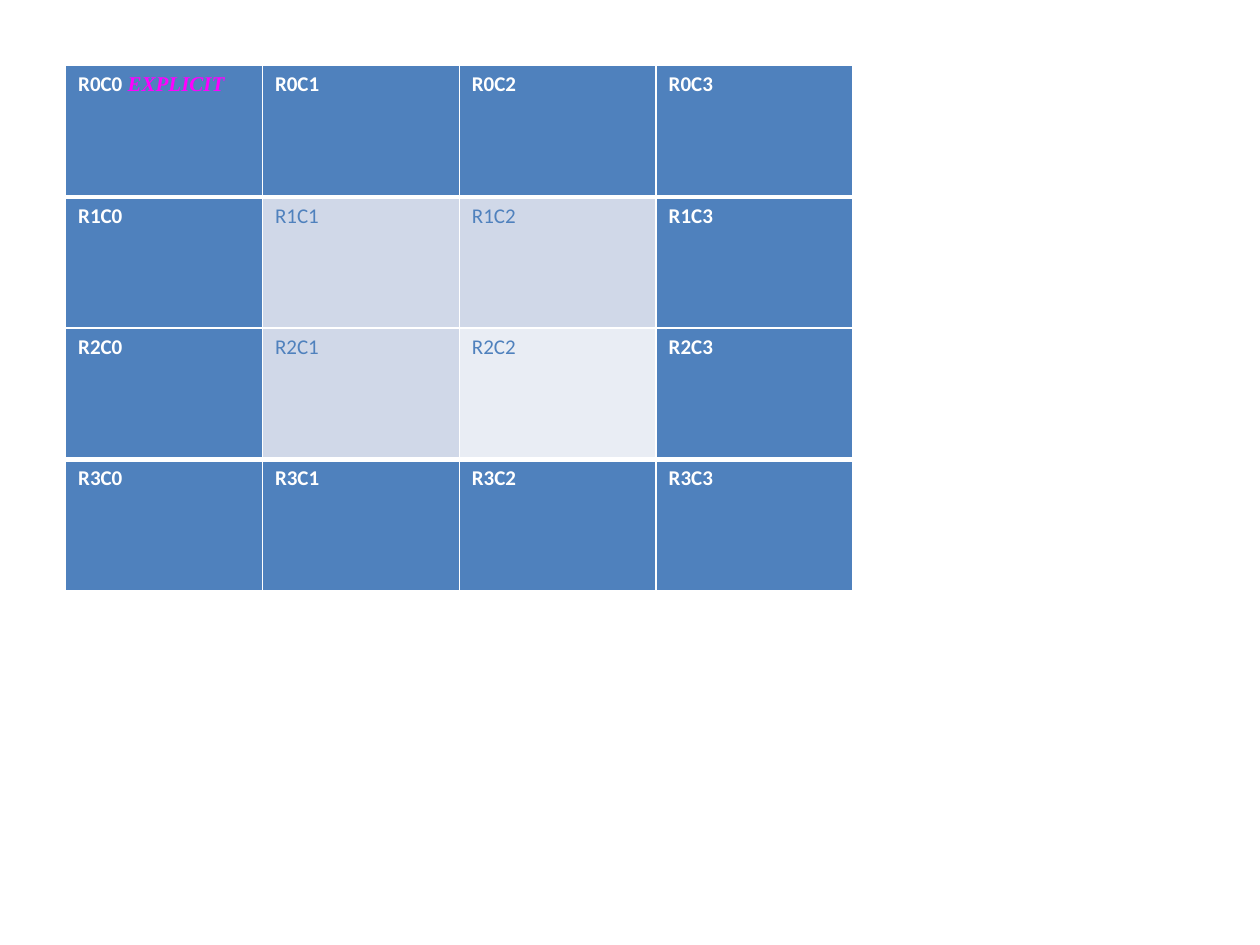
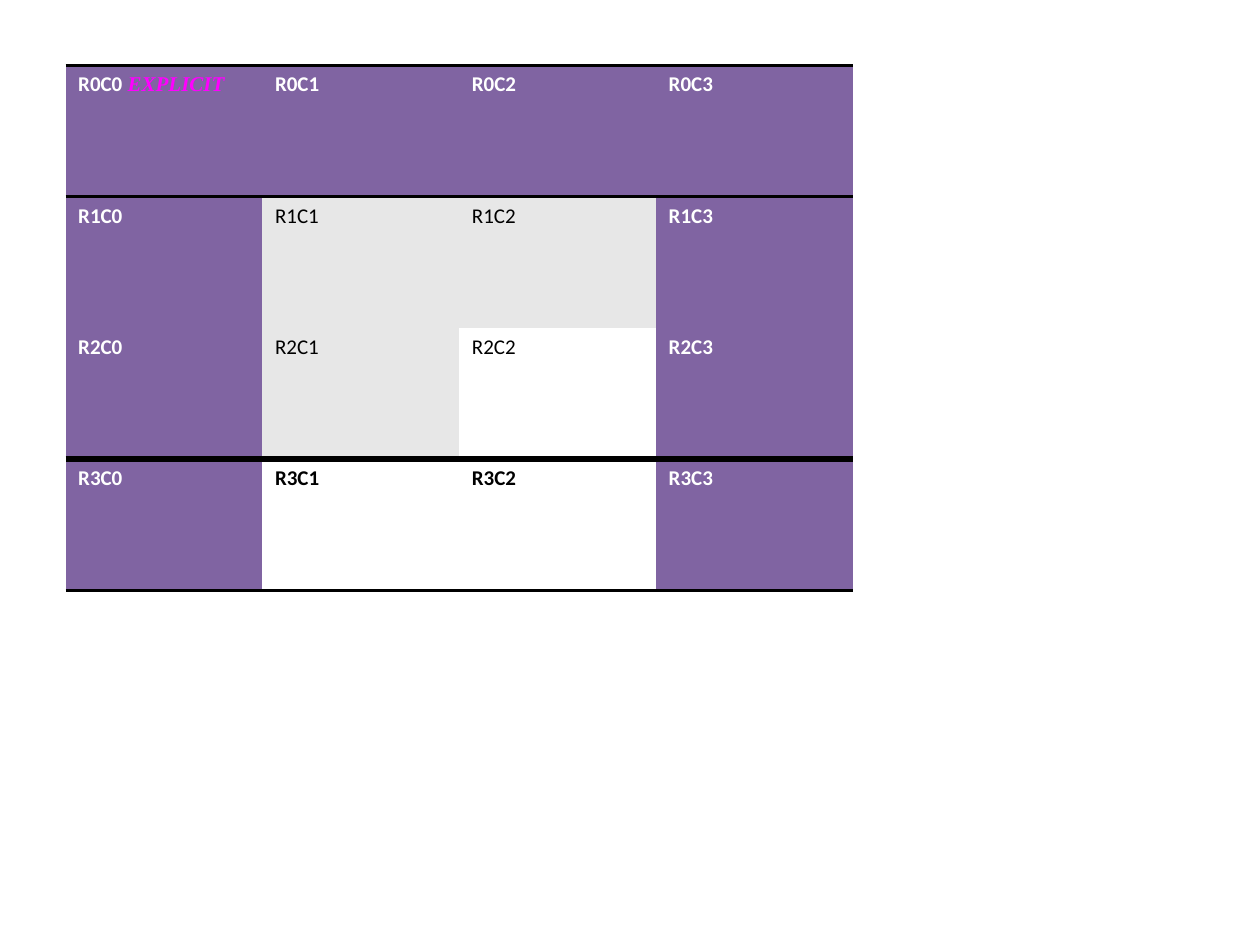
from dataclasses import dataclass

import pptx
import pptx.dml.color
import pptx.oxml
import pptx.oxml.ns
import pptx.util

Pt = pptx.util.Pt
COLORS = {
    "white": "FFFFFF",
    "black": "000000",
    "blue": "4F81BD",
    "blue_band": "D0D8E8",
    "blue_pale": "E9EDF4",
    "purple": "8064A2",
    "grey_band": "E7E7E7",
    "magenta": "FF00FF",
}
SIZE = 4
LAST = SIZE - 1
LEFT = TOP = 37.5
COL_WIDTH = 112.5
ROW_HEIGHT = 75
PLAIN_STYLE = "{2D5ABB26-0587-4C30-8999-92F81FD0307C}"


@dataclass(frozen=True)
class TableTheme:
    accent: str
    band: str
    pale: str
    body_text: str
    total_fill: str
    total_text: str
    line: str
    row_lines: tuple[int, ...]
    col_line: int


THEMES = (
    TableTheme("blue", "blue_band", "blue_pale", "blue", "blue", "white",
               "white", (1, 3, 1, 3, 1), 1),
    TableTheme("purple", "grey_band", "white", "black", "white", "black",
               "black", (2, 2, 0, 4, 2), 0),
)


def rgb(name: str) -> pptx.dml.color.RGBColor:
    return pptx.dml.color.RGBColor.from_string(COLORS[name])


def cell_style(theme: TableTheme, row: int, col: int) -> tuple[str, str, bool]:
    if row == 0 or col in (0, LAST):
        return theme.accent, "white", True
    if row == LAST:
        return theme.total_fill, theme.total_text, True
    banded = row == 1 or col == 1
    return theme.band if banded else theme.pale, theme.body_text, False


def set_borders(cell, theme: TableTheme, row: int) -> None:
    widths = {"L": theme.col_line, "R": theme.col_line,
              "T": theme.row_lines[row], "B": theme.row_lines[row + 1]}
    props = cell._tc.get_or_add_tcPr()
    for i, (side, width) in enumerate(widths.items()):
        paint = (f'<a:solidFill><a:srgbClr val="{COLORS[theme.line]}"/></a:solidFill>'
                 if width else "<a:noFill/>")
        props.insert(i, pptx.oxml.parse_xml(
            f'<a:ln{side} {pptx.oxml.ns.nsdecls("a")} w="{Pt(width)}">{paint}</a:ln{side}>'))


def fill_cell(cell, theme: TableTheme, row: int, col: int) -> None:
    fill, color, bold = cell_style(theme, row, col)
    cell.fill.solid()
    cell.fill.fore_color.rgb = rgb(fill)
    set_borders(cell, theme, row)
    p = cell.text_frame.paragraphs[0]
    p.font.name = "Calibri"
    p.font.size = Pt(12)
    p.font.bold = bold
    p.font.color.rgb = rgb(color)
    p.add_run().text = f"R{row}C{col}"
    if row == col == 0:
        r = p.add_run()
        r.text = " EXPLICIT"
        r.font.name = "Times New Roman"
        r.font.italic = True
        r.font.color.rgb = rgb("magenta")


def add_table_slide(prs, theme: TableTheme) -> None:
    s = prs.slides.add_slide(prs.slide_layouts[6])
    table = s.shapes.add_table(SIZE, SIZE, Pt(LEFT), Pt(TOP),
                               Pt(SIZE * COL_WIDTH), Pt(SIZE * ROW_HEIGHT)).table
    table._tbl.tblPr.find(pptx.oxml.ns.qn("a:tableStyleId")).text = PLAIN_STYLE
    table.first_row = table.horz_banding = False
    for row in range(SIZE):
        for col in range(SIZE):
            fill_cell(table.cell(row, col), theme, row, col)


def main() -> None:
    prs = pptx.Presentation()
    prs.slide_width, prs.slide_height = Pt(720), Pt(540)
    for theme in THEMES:
        add_table_slide(prs, theme)
    prs.save("out.pptx")


if __name__ == "__main__":
    main()
